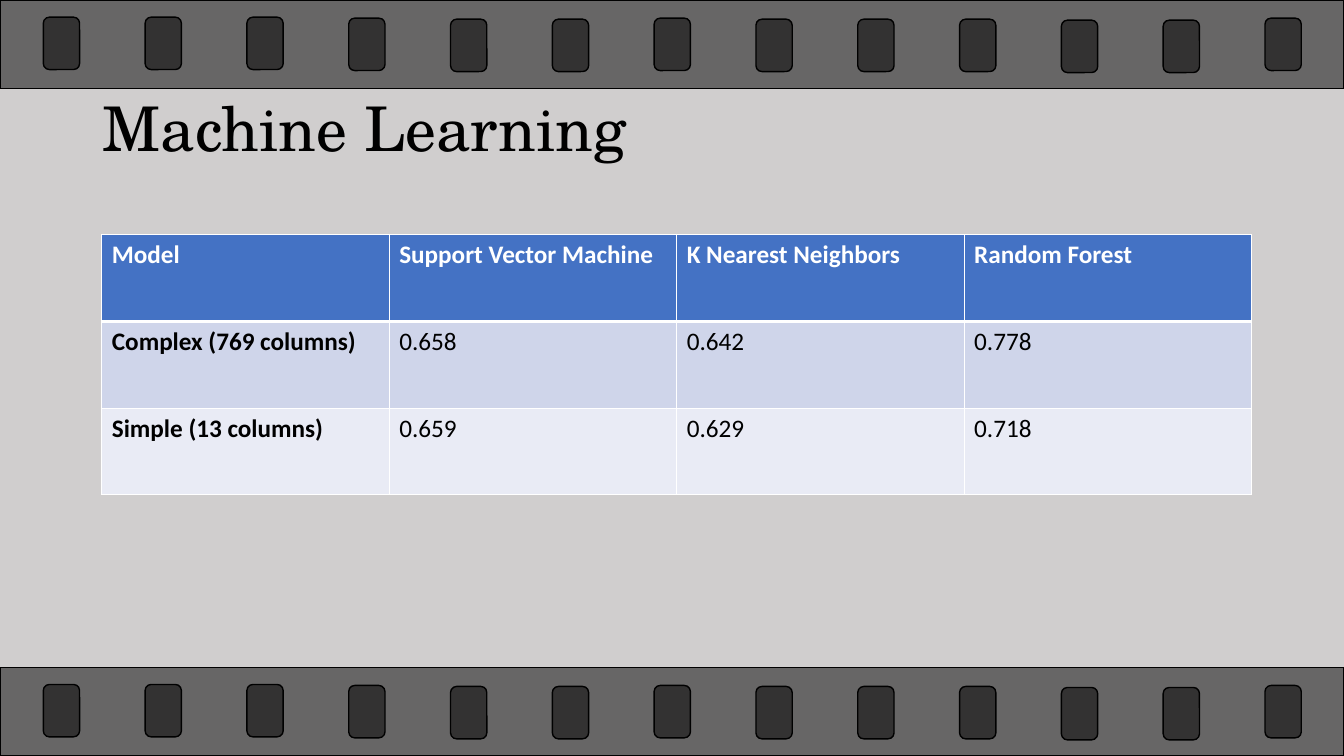
from lxml.etree import SubElement
from pptx import Presentation
from pptx.dml.color import RGBColor
from pptx.enum.shapes import MSO_SHAPE
from pptx.enum.text import MSO_ANCHOR
from pptx.oxml.ns import qn
from pptx.util import Inches, Pt

COLORS = {
    "background": "D0CECE",
    "black": "000000",
    "white": "FFFFFF",
    "header": "4472C4",
    "odd_row": "CFD5EA",
    "even_row": "E9EBF5",
}
TITLE_FORMAT = {"name": "TeX Gyre Schola", "size": Pt(44)}
CELL_FORMAT = {"name": "Calibri", "size": Pt(18)}

GRID_COLUMNS, GRID_ROWS = 40, 22.5
BAND_HEIGHT = 2.64
HOLE_LEFT, HOLE_PITCH = 1.29, 3.03
HOLE_WIDTH, HOLE_HEIGHT = 1.08, 1.56
HOLE_TOPS = [0.51, 0.51, 0.51, 0.54, 0.57, 0.57, 0.54,
             0.57, 0.57, 0.57, 0.6, 0.6, 0.54]

MODEL_SCORES = [
    ["Model", "Support Vector Machine", "K Nearest Neighbors", "Random Forest"],
    ["Complex (769 columns)", "0.658", "0.642", "0.778"],
    ["Simple (13 columns)", "0.659", "0.629", "0.718"],
]


class FilmSlide:
    """Draws elements on one slide, with lengths in grid columns and rows."""

    def __init__(self, presentation):
        self.slide = presentation.slides.add_slide(presentation.slide_layouts[6])
        self.column = presentation.slide_width / GRID_COLUMNS
        self.row = presentation.slide_height / GRID_ROWS
        self.paint(self.slide.background.fill, "background")

    def paint(self, fill, color):
        fill.solid()
        fill.fore_color.rgb = RGBColor.from_string(COLORS[color])

    def box(self, left, top, width, height):
        return (round(left * self.column), round(top * self.row),
                round(width * self.column), round(height * self.row))

    def add_text(self, paragraph, text, color, values):
        run = paragraph.add_run()
        run.text = text
        for name, value in values.items():
            setattr(run.font, name, value)
        run.font.color.rgb = RGBColor.from_string(COLORS[color])

    def glass(self, group, preset, *place):
        """Add a half-transparent black shape with a black outline."""
        shape = group.shapes.add_shape(preset, *self.box(*place))
        shape.shadow.inherit = False
        self.paint(shape.fill, "black")
        solid_fill = shape.element.spPr.find(qn("a:solidFill"))
        SubElement(solid_fill[0], qn("a:alpha"), val="50000")
        self.paint(shape.line.fill, "black")
        shape.line.width = Pt(1)

    def film_band(self, top):
        group = self.slide.shapes.add_group_shape()
        self.glass(group, MSO_SHAPE.RECTANGLE, 0, top, GRID_COLUMNS, BAND_HEIGHT)
        for index, hole_top in enumerate(HOLE_TOPS):
            self.glass(group, MSO_SHAPE.ROUNDED_RECTANGLE,
                       HOLE_LEFT + index * HOLE_PITCH, top + hole_top,
                       HOLE_WIDTH, HOLE_HEIGHT)

    def title(self, text, *place):
        frame = self.slide.shapes.add_textbox(*self.box(*place)).text_frame
        frame.word_wrap = True
        frame.vertical_anchor = MSO_ANCHOR.MIDDLE
        paragraph = frame.paragraphs[0]
        paragraph.line_spacing = 0.9
        self.add_text(paragraph, text, "black", TITLE_FORMAT)

    def borders(self, cell, widths):
        properties = cell._tc.get_or_add_tcPr()
        for side, width in widths.items():
            line = SubElement(properties, qn(f"a:ln{side}"), w=str(int(Pt(width))))
            fill = SubElement(line, qn("a:solidFill"))
            SubElement(fill, qn("a:srgbClr"), val=COLORS["white"])

    def table(self, rows, *place):
        table = self.slide.shapes.add_table(
            len(rows), len(rows[0]), *self.box(*place)).table
        fills = ["header", "odd_row", "even_row"]
        for row_index, texts in enumerate(rows):
            is_header = row_index == 0
            widths = {"L": 1, "R": 1, "T": 3 if row_index == 1 else 1,
                      "B": 3 if is_header else 1}
            for column_index, text in enumerate(texts):
                cell = table.cell(row_index, column_index)
                self.borders(cell, widths)
                self.paint(cell.fill, fills[row_index])
                self.add_text(cell.text_frame.paragraphs[0], text,
                              "white" if is_header else "black",
                              {**CELL_FORMAT, "bold": is_header or column_index == 0})


def main():
    presentation = Presentation()
    presentation.slide_width = Inches(13.33)
    presentation.slide_height = Inches(7.5)
    film = FilmSlide(presentation)
    for top in (0, GRID_ROWS - BAND_HEIGHT):
        film.film_band(top)
    film.title("Machine Learning", 2.76, 2.67, 34.5, 2.46)
    film.table(MODEL_SCORES, 3.03, 6.99, 34.22, 7.74)
    presentation.save("out.pptx")


if __name__ == "__main__":
    main()
